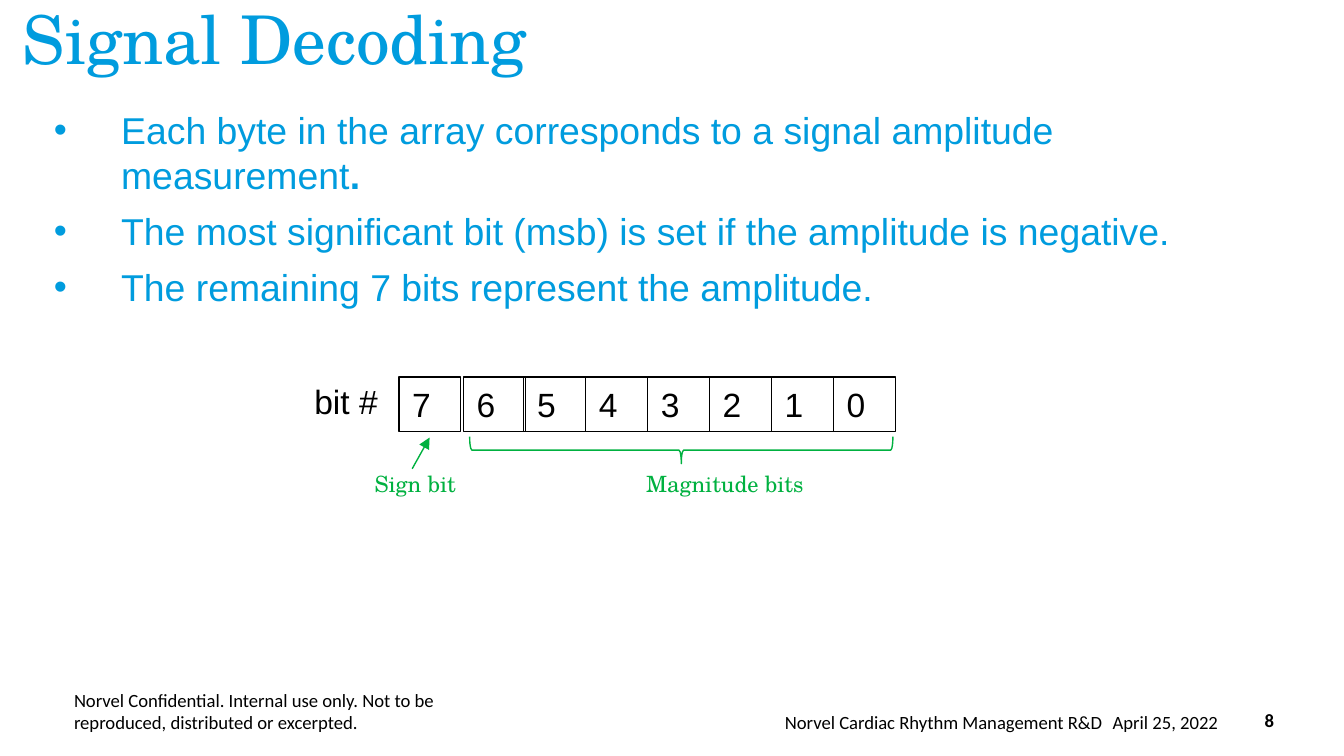
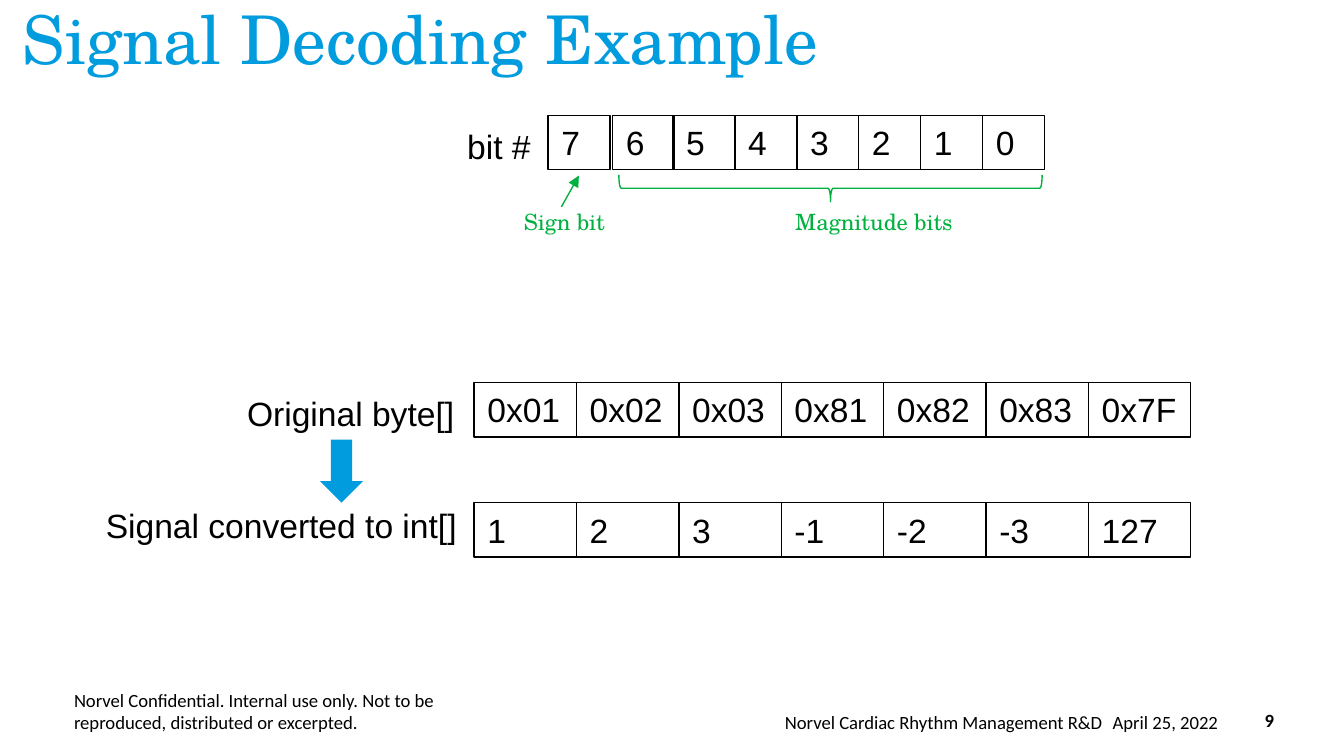
from lxml.etree import SubElement as Sub
from pptx import Presentation
from pptx.dml.color import RGBColor
from pptx.enum.shapes import MSO_CONNECTOR as Link, MSO_SHAPE as Form
from pptx.enum.text import MSO_ANCHOR as Anchor, MSO_AUTO_SIZE as Fit, PP_ALIGN as Align
from pptx.oxml.ns import qn
from pptx.util import Cm, Pt

BLUE, GREEN, BLACK = "009CDE", "00B140", "000000"
SERIF, SANS, SMALL = "TeX Gyre Schola", "Arial", "Calibri"
PAD = (0.25, 0.13, 0.25, 0.13)
FLUSH = (0, 0, 0.25, 0.13)
BASE = (0, 0.13, 0, 0.13)
CELL = 1.03


def color(code):
    return RGBColor.from_string(code)


def place(box):
    return [Cm(v) for v in box]


def style(run, size, face, tint, bold=False):
    font = run.font
    font.size, font.name, font.bold = Pt(size), face, bold
    font.color.rgb = color(tint)


def write(shape, *lines, size=18, face=SANS, tint=BLACK, bold=False, pad=PAD,
          anchor=Anchor.TOP, align=Align.LEFT, before=0, pitch=None):
    frame = shape.text_frame
    frame.word_wrap, frame.auto_size = True, Fit.NONE
    frame.vertical_anchor = anchor
    (frame.margin_left, frame.margin_top,
     frame.margin_right, frame.margin_bottom) = place(pad)
    for i, line in enumerate(lines):
        para = frame.add_paragraph() if i else frame.paragraphs[0]
        para.alignment, para.space_before = align, Pt(before)
        para.line_spacing = pitch
        run = para.add_run()
        run.text = line
        style(run, size, face, tint, bold)
    return frame


def label(slide, box, words, **form):
    return write(slide.shapes.add_textbox(*place(box)), words, **form)


def draw(shapes, form, box, fill=None, line=None):
    shape = shapes.add_shape(form, *place(box))
    shape.shadow.inherit = False
    if fill:
        shape.fill.solid()
        shape.fill.fore_color.rgb = color(fill)
    else:
        shape.fill.background()
    if line:
        shape.line.color.rgb = color(line)
        shape.line.width = Pt(0.75)
    else:
        shape.line.fill.background()
    return shape


def arrow(slide, start, end, tint):
    link = slide.shapes.add_connector(Link.STRAIGHT, *place(start + end))
    link.line.color.rgb = color(tint)
    link.line.width = Pt(0.75)
    props = link.element.spPr
    Sub(props.find(qn("a:ln")), qn("a:tailEnd"), type="triangle")
    Sub(props, qn("a:effectLst"))


def start(deck, title, number):
    slide = deck.slides.add_slide(deck.slide_layouts[5])
    head = slide.shapes.title
    head.left, head.top, head.width, head.height = place((0.43, 0.13, 25.48, 1.9))
    write(head, title, size=36, face=SERIF, tint=BLUE, pad=FLUSH, pitch=0.9)
    footer(slide, number)
    return slide


def footer(slide, number):
    form = dict(size=10, face=SMALL, pad=BASE, anchor=Anchor.BOTTOM)
    label(slide, (1.4, 13.38, 8.48, 0.61), "Norvel Confidential. Internal use only. "
          "Not to be reproduced, distributed or excerpted.", before=2, **form)
    label(slide, (21.03, 13.23, 3.3, 0.76), "April 25, 2022", **form)
    label(slide, (8.38, 13.23, 12.45, 0.76),
          "Norvel Cardiac Rhythm Management R&D", align=Align.RIGHT, **form)
    label(slide, (23.9, 13.38, 0.81, 0.58), str(number), bold=True, **form)


def points(slide, box, *lines):
    frame = write(slide.shapes.add_textbox(*place(box)), *lines,
                  size=20, tint=BLUE, pad=FLUSH, before=6)
    for para in frame.paragraphs:
        props = para._p.get_or_add_pPr()
        props.set("marL", str(Cm(1.27)))
        props.set("indent", str(-Cm(1.27)))
        Sub(props, qn("a:buFont"), typeface="Arial")
        Sub(props, qn("a:buChar"), char="•")
    return frame


def byte(slide, x, y, name):
    group = slide.shapes.add_group_shape()
    gaps = [0, 0.05] + [0.02] * 6
    for i, gap in enumerate(gaps):
        box = (x + i * 1.17 + gap, y, 1.17, CELL)
        write(draw(group.shapes, Form.RECTANGLE, box, line=BLACK), str(7 - i))
    dx, dy = name
    label(slide, (x + dx, y + dy, 2.62, CELL), "bit #")
    brace = draw(slide.shapes, Form.RIGHT_BRACE,
                 (x + 5.08, y - 2.62, 0.51, 8), line=GREEN)
    brace.rotation = 90
    arrow(slide, (x + 0.25, y + 1.73), (x + 0.58, y + 1.14), GREEN)
    for dx, wide, words in ((-0.71, 2.62, "Sign bit"), (4.42, 4.17, "Magnitude bits")):
        label(slide, (x + dx, y + 1.63, wide, 0.76), words,
              size=12, face=SERIF, tint=GREEN)


def array(slide, x, y, items):
    for i, item in enumerate(items):
        box = (x + i * 1.935, y, 1.935, CELL)
        write(draw(slide.shapes, Form.RECTANGLE, box, line=BLACK), item)


def rules(deck):
    slide = start(deck, "Signal Decoding", 8)
    frame = points(
        slide, (1.02, 2.03, 22.61, 6.15),
        "Each byte in the array corresponds to a signal amplitude measurement",
        "The most significant bit (msb) is set if the amplitude is negative.",
        "The remaining 7 bits represent the amplitude.")
    stop = frame.paragraphs[0].add_run()
    stop.text = "."
    style(stop, 20, SANS, BLUE, True)
    byte(slide, 7.54, 7.13, (-1.85, -0.05))


def example(deck):
    slide = start(deck, "Signal Decoding Example", 9)
    array(slide, 8.96, 7.23, ["0x01", "0x02", "0x03", "0x81", "0x82", "0x83", "0x7F"])
    array(slide, 8.96, 9.5, ["1", "2", "3", "-1", "-2", "-3", "127"])
    draw(slide.shapes, Form.DOWN_ARROW, (6.05, 8.31, 0.81, 1.19), fill=BLUE)
    label(slide, (4.42, 7.29, 4.88, CELL), "Original byte[]")
    label(slide, (1.75, 9.42, 7.21, CELL), "Signal converted to int[]")
    byte(slide, 10.36, 2.18, (-1.78, 0.08))


def main():
    deck = Presentation()
    deck.slide_width, deck.slide_height = Cm(25.4), Cm(14.29)
    rules(deck)
    example(deck)
    deck.save("out.pptx")


if __name__ == "__main__":
    main()
